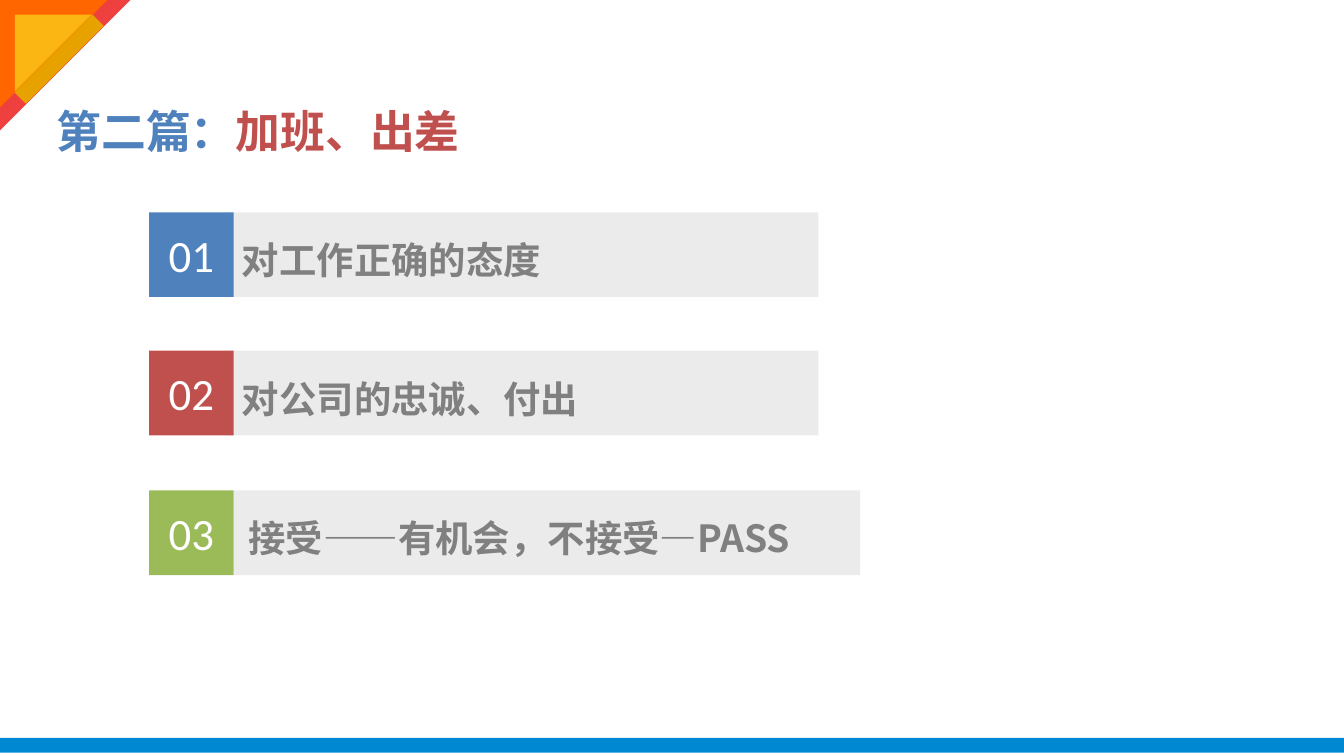
import pptx
import pptx.util
import pptx.dml.color
import pptx.enum.shapes
import pptx.enum.text
from lxml import etree
from pptx.oxml.ns import qn

Inches = pptx.util.Inches
Pt = pptx.util.Pt
MSO_SHAPE = pptx.enum.shapes.MSO_SHAPE
PP_ALIGN = pptx.enum.text.PP_ALIGN
MSO_ANCHOR = pptx.enum.text.MSO_ANCHOR
MSO_AUTO_SIZE = pptx.enum.text.MSO_AUTO_SIZE

COLORS = {
    "footer": "0089D2",
    "corner_red": "EE403F",
    "corner_orange": "FF6600",
    "corner_yellow": "FBB614",
    "corner_gold": "E7A200",
    "blue": "4F81BD",
    "red": "C0504D",
    "green": "9BBB59",
    "bar": "D9D9D9",
    "text": "808080",
    "white": "FFFFFF",
}


def rgb(name):
    return pptx.dml.color.RGBColor.from_string(COLORS[name])


class Builder:
    """Holds the style and the current slide."""

    title_font = "Roboto Condensed"
    body_font = "Noto Sans CJK SC"
    number_font = "Calibri"

    def __init__(self, slide):
        self.slide = slide

    def frame(self, s, anchor, wrap):
        tf = s.text_frame
        tf.margin_left = tf.margin_top = tf.margin_right = tf.margin_bottom = 0
        tf.vertical_anchor = anchor
        tf.word_wrap = wrap
        return tf

    def style(self, p, font, size, color=None, bold=False):
        p.font.name = font
        p.font.size = Pt(size)
        p.font.bold = bold
        if color:
            p.font.color.rgb = rgb(color)

    def shape(self, kind, x, y, w, h, color, rotation=0, alpha=None):
        s = self.slide.shapes.add_shape(
            kind, Inches(x), Inches(y), Inches(w), Inches(h))
        s.shadow.inherit = False
        s.rotation = rotation
        s.fill.solid()
        s.fill.fore_color.rgb = rgb(color)
        s.line.fill.background()
        if alpha is not None:
            clr = s._element.spPr.find(qn("a:solidFill"))[0]
            etree.SubElement(clr, qn("a:alpha")).set("val", str(alpha * 1000))
        return s

    def title(self, x, y, w, h, parts):
        s = self.slide.shapes.title
        s.left, s.top, s.width, s.height = map(Inches, (x, y, w, h))
        tf = self.frame(s, MSO_ANCHOR.TOP, False)
        tf.auto_size = MSO_AUTO_SIZE.SHAPE_TO_FIT_TEXT
        p = tf.paragraphs[0]
        p.alignment = PP_ALIGN.LEFT
        self.style(p, self.title_font, 24, bold=True)
        for text, color in parts:
            r = p.add_run()
            r.text = text
            r.font.color.rgb = rgb(color)

    def label(self, x, y, w, h, text):
        s = self.slide.shapes.add_textbox(
            Inches(x), Inches(y), Inches(w), Inches(h))
        tf = self.frame(s, MSO_ANCHOR.TOP, True)
        tf.auto_size = MSO_AUTO_SIZE.SHAPE_TO_FIT_TEXT
        p = tf.paragraphs[0]
        p.text = text
        p.line_spacing = 1.2
        self.style(p, self.body_font, 20, "text", True)

    def badge(self, x, y, size, text, color):
        s = self.shape(MSO_SHAPE.RECTANGLE, x, y, size, size, color)
        p = self.frame(s, MSO_ANCHOR.MIDDLE, True).paragraphs[0]
        p.text = text
        p.alignment = PP_ALIGN.CENTER
        self.style(p, self.number_font, 24, "white")


def main():
    prs = pptx.Presentation()
    prs.slide_width, prs.slide_height = Inches(10), Inches(10 * 9 / 16)
    b = Builder(prs.slides.add_slide(prs.slide_layouts[5]))

    # Footer band
    b.shape(MSO_SHAPE.RECTANGLE, 0, 5.49, 10, 0.11, "footer")

    # Corner ornament
    for offset, size, color in [(0, 0.97, "corner_red"),
                                (0, 0.8, "corner_orange"),
                                (0.11, 0.57, "corner_yellow")]:
        b.shape(MSO_SHAPE.RIGHT_TRIANGLE, offset, offset, size, size, color, 90)
    b.shape(MSO_SHAPE.RECTANGLE, 0.38, 0.03, 0.12, 0.82, "corner_gold", 45)

    # Title
    b.title(0.42, 0.77, 3.03, 0.4, [("第二篇：", "blue"), ("加班、出差", "red")])

    # Numbered rows: top, bar left, bar width, text left, text, badge colour
    rows = [
        (1.58, 1.68, 4.41, 1.8, "对工作正确的态度", "blue"),
        (2.61, 1.68, 4.41, 1.8, "对公司的忠诚、付出", "red"),
        (3.65, 1.74, 4.66, 1.85, "接受——有机会，不接受—PASS", "green"),
    ]
    size = 0.63
    for i, (y, bar_x, bar_w, text_x, text, color) in enumerate(rows, 1):
        b.shape(MSO_SHAPE.RECTANGLE, bar_x, y, bar_w, size, "bar", alpha=50)
        b.label(text_x, y + 0.12, 4.3, 0.4, text)
        b.badge(1.11, y, size, f"{i:02d}", color)

    prs.save("out.pptx")


if __name__ == "__main__":
    main()
